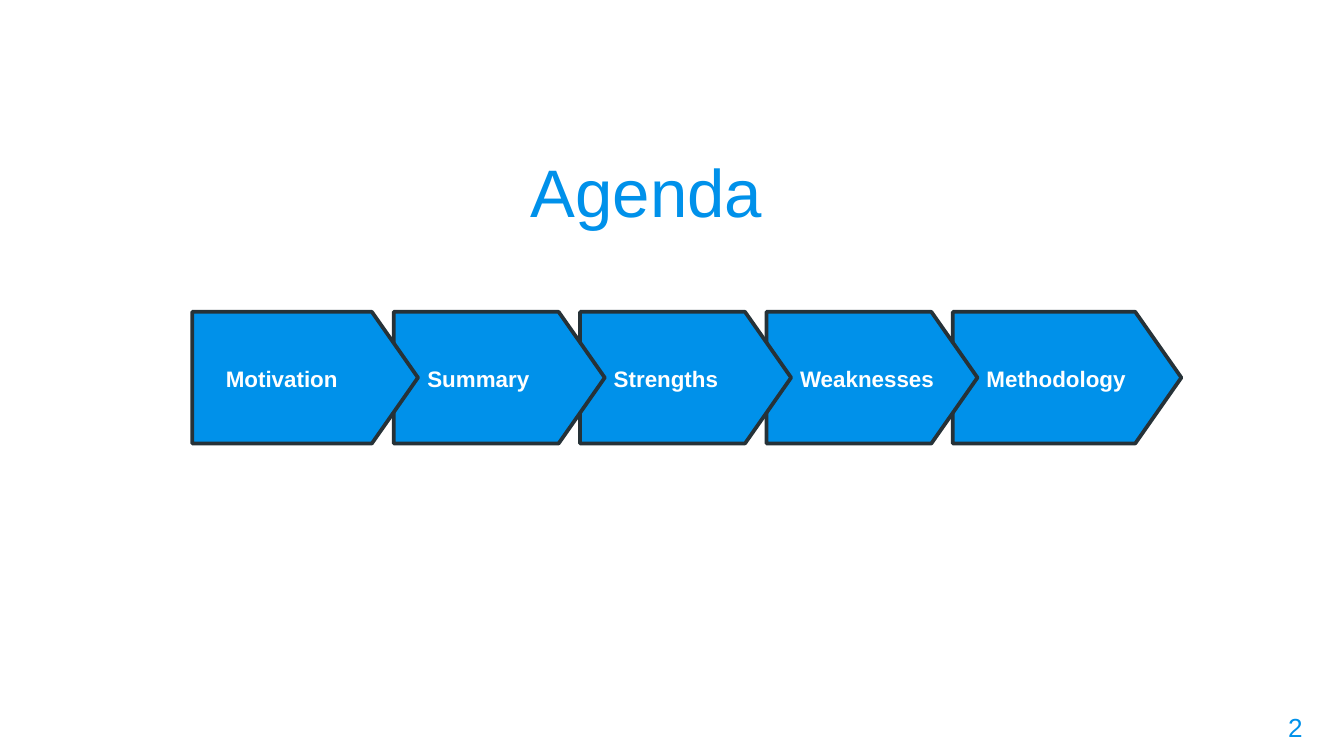
from pptx import Presentation
from pptx.dml.color import RGBColor
from pptx.enum import shapes, text
from pptx.util import Inches, Pt

COLORS = {"blue": "0091EA", "outline": "263238", "white": "FFFFFF"}


def color(name):
    return RGBColor.from_string(COLORS[name])


def write(shape, words, size, color_name, align, anchor, left_inset=0.1):
    frame = shape.text_frame
    frame.word_wrap = True
    frame.vertical_anchor = anchor
    frame.margin_left = Inches(left_inset)
    frame.margin_right = frame.margin_top = frame.margin_bottom = Inches(0.1)
    para = frame.paragraphs[0]
    para.text = words
    para.alignment = align
    para.font.name = "Arial"
    para.font.size = Pt(size)
    para.font.color.rgb = color(color_name)
    return para


# Widescreen page, 16:9
deck = Presentation()
deck.slide_width = Inches(10)
deck.slide_height = Inches(10 * 9 / 16)
page = deck.slides.add_slide(deck.slide_layouts[6])
page.background.fill.solid()
page.background.fill.fore_color.rgb = color("white")

# Title
title = page.shapes.add_textbox(Inches(1.62), Inches(0.9), Inches(6.38), Inches(0.92))
write(title, "Agenda", 36, "blue", text.PP_ALIGN.CENTER, text.MSO_ANCHOR.BOTTOM)

# Agenda arrows: the first and last are wider than the evenly spaced middle ones
second_left, last_left, height = 2.93, 7.09, 0.98
step = (last_left - second_left) / 3
steps = [("Motivation", 1.43, 1.68)]
for index, label in enumerate(["Summary", "Strengths", "Weaknesses"]):
    steps.append((label, second_left + index * step, 1.57))
steps.append(("Methodology", last_left, 1.7))

# Drawn from right to left, so each tip lies over the next arrow
for label, left, width in reversed(steps):
    arrow = page.shapes.add_shape(
        shapes.MSO_SHAPE.PENTAGON, Inches(left), Inches(2.32), Inches(width), Inches(height))
    arrow.adjustments[0] = 0.35
    arrow.shadow.inherit = False
    arrow.fill.solid()
    arrow.fill.fore_color.rgb = color("blue")
    arrow.line.color.rgb = color("outline")
    arrow.line.width = Pt(2)
    para = write(arrow, label, 12, "white", text.PP_ALIGN.LEFT,
                 text.MSO_ANCHOR.MIDDLE, left_inset=0.25)
    para.font.bold = True
    para.line_spacing = 1.06

# Page number
number = page.shapes.add_textbox(Inches(9.19), Inches(5.19), Inches(0.6), Inches(0.43))
write(number, "2", 14, "blue", text.PP_ALIGN.RIGHT, text.MSO_ANCHOR.TOP)

deck.save("out.pptx")
